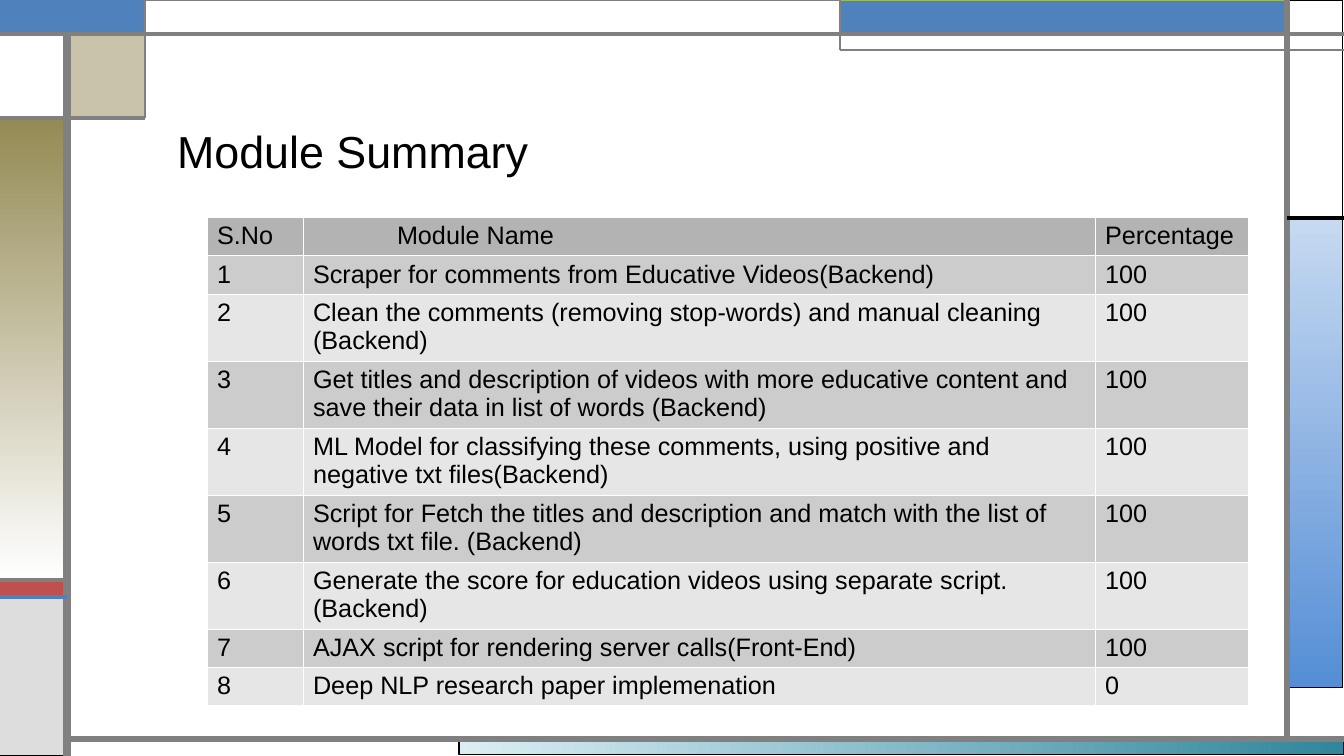
"""Build the Module Summary slide: a framed page with a title and a progress table."""
from lxml import etree
from pptx import Presentation
from pptx.dml.color import RGBColor
from pptx.enum.shapes import MSO_CONNECTOR, MSO_SHAPE
from pptx.enum.text import MSO_ANCHOR, MSO_AUTO_SIZE, PP_ALIGN
from pptx.oxml.ns import qn
from pptx.util import Pt

RECTANGLE = MSO_SHAPE.RECTANGLE
STRAIGHT = MSO_CONNECTOR.STRAIGHT
BOTTOM, TOP = MSO_ANCHOR.BOTTOM, MSO_ANCHOR.TOP
LEFT = PP_ALIGN.LEFT
NO_FIT = MSO_AUTO_SIZE.NONE

PX = 914400 / 100.8
WIDTH, HEIGHT = 1344, 756
FONT = "Arial"
COLORS = {
    "white": "FFFFFF", "black": "000000", "gray": "808080", "silver": "DDDDDD",
    "blue": "4F81BD", "green": "9BBB59", "red": "C0504D", "olive": "948A54",
    "ice": "DBEEF4", "teal": "31859C", "sky": "C6D9F1", "azure": "558ED5",
    "header": "B3B3B3", "odd": "CCCCCC", "even": "E6E6E6",
}

TITLE = "Module Summary"
HEADER = ("S.No", "Module Name", "Percentage")
MODULES = [
    ("Scraper for comments from Educative Videos(Backend)", 100),
    ("Clean the comments (removing stop-words) and manual cleaning (Backend)", 100),
    ("Get titles and description of videos with more educative content and "
     "save their data in list of words (Backend)", 100),
    ("ML Model for classifying these comments, using positive and "
     "negative txt files(Backend)", 100),
    ("Script for Fetch the titles and description and match with the list of "
     "words txt file. (Backend)", 100),
    ("Generate the score for education videos using separate script. (Backend)", 100),
    ("AJAX script for rendering server calls(Front-End)", 100),
    ("Deep NLP research paper implemenation", 0),
]
COLUMNS = (96, 792, 153)
ONE_LINE, TWO_LINES, LINE_CHARACTERS = 38, 67, 60
TABLE_LEFT, TABLE_TOP = 207, 217
HEADER_INDENT = 84

RAIL, TAB, MIDDLE, EDGE = 67, 145, 840, 1287
BAND, STEP, SQUARE, PANEL = 34, 50, 118, 218
STRIPE, BLOCK, FLOOR = 580, 597, 739

# left, top, right, bottom, fill colours, line colour, line width
PANELS = [
    (459, FLOOR, WIDTH, HEIGHT - 1, ("ice", "teal"), "black", 0.75),
    (EDGE, PANEL, WIDTH - 1, 688, ("sky", "azure"), "black", 0.75),
    (0, STRIPE, RAIL, BLOCK - 1, ("red",), "black", 0.75),
    (0, BLOCK, RAIL, HEIGHT, ("silver",), "black", 0.75),
    (EDGE, 0, WIDTH - 1, PANEL, ("white",), "black", 0.75),
    (MIDDLE, 0, EDGE, BAND, ("blue",), "green", 0.75),
    (RAIL, BAND, TAB, SQUARE, ("olive",), "black", 0.75),
    (0, SQUARE, RAIL, STRIPE, ("olive", "white"), "black", 0.75),
    (0, BAND, RAIL, SQUARE, ("white",), "black", 0.75),
    (0, 0, TAB, BAND, ("blue",), "blue", 1.5),
    (TAB, 0, MIDDLE, BAND, ("white",), "gray", 0.75),
]
RULES = [
    (RAIL, HEIGHT, RAIL, BAND, "gray", 6),
    (RAIL, FLOOR, WIDTH, FLOOR, "gray", 4.5),
    (EDGE, FLOOR, EDGE, 0, "gray", 4.5),
    (0, BAND, WIDTH, BAND, "gray", 3),
    (WIDTH, STEP, MIDDLE, STEP, "gray", 1.5),
    (MIDDLE, STEP, MIDDLE, 0, "gray", 1.5),
    (EDGE, PANEL, WIDTH, PANEL, "black", 2.25),
    (TAB, 0, TAB, SQUARE, "gray", 1.5),
    (TAB, SQUARE, 0, SQUARE, "gray", 2.25),
    (RAIL, STRIPE, 0, STRIPE, "gray", 2.25),
    (RAIL, BLOCK, 0, BLOCK, "blue", 2.25),
]


def emu(pixels):
    return round(pixels * PX)


def rgb(name):
    return RGBColor.from_string(COLORS[name])


def style_line(line, color, width):
    line.color.rgb = rgb(color)
    line.width = Pt(width)


def add_panel(page, left, top, right, bottom, fills, color, width):
    panel = page.shapes.add_shape(
        RECTANGLE, emu(left), emu(top), emu(right - left), emu(bottom - top))
    panel.shadow.inherit = False
    style_line(panel.line, color, width)
    if len(fills) == 1:
        panel.fill.solid()
        panel.fill.fore_color.rgb = rgb(fills[0])
    else:
        panel.fill.gradient()
        panel.fill.gradient_angle = 0 if right - left > bottom - top else 270
        for stop, name in zip(panel.fill.gradient_stops, fills):
            stop.color.rgb = rgb(name)
    if fills == ("olive",):
        tint = panel._element.spPr.find(qn("a:solidFill"))[0]
        etree.SubElement(tint, qn("a:alpha"), val="50000")


def add_rule(page, left, top, right, bottom, color, width):
    rule = page.shapes.add_connector(
        STRAIGHT, emu(left), emu(top), emu(right), emu(bottom))
    style_line(rule.line, color, width)
    etree.SubElement(rule._element.spPr, qn("a:effectLst"))


def write(frame, text, size):
    frame.word_wrap = True
    para = frame.paragraphs[0]
    para.alignment = LEFT
    span = para.add_run()
    span.text = text
    span.font.name = FONT
    span.font.size = Pt(size)
    span.font.bold = False
    span.font.color.rgb = rgb("black")


def add_title(page):
    title = page.shapes.title
    title.left, title.top, title.width, title.height = map(emu, (167, 58, 1057, 125))
    frame = title.text_frame
    frame.auto_size = NO_FIT
    frame.vertical_anchor = BOTTOM
    write(frame, TITLE, 32)


def border_cell(cell):
    properties = cell._tc.get_or_add_tcPr()
    for position, side in enumerate(("a:lnL", "a:lnR", "a:lnT", "a:lnB")):
        border = etree.Element(qn(side), w="762")
        fill = etree.SubElement(border, qn("a:solidFill"))
        etree.SubElement(fill, qn("a:srgbClr"), val=COLORS["white"])
        properties.insert(position, border)


def add_module_table(page):
    rows = [HEADER] + [(str(number), name, str(percentage))
                       for number, (name, percentage) in enumerate(MODULES, 1)]
    heights = [TWO_LINES if len(row[1]) > LINE_CHARACTERS else ONE_LINE for row in rows]
    table = page.shapes.add_table(
        len(rows), len(COLUMNS), emu(TABLE_LEFT), emu(TABLE_TOP),
        emu(sum(COLUMNS)), emu(sum(heights))).table
    for column, width in zip(table.columns, COLUMNS):
        column.width = emu(width)
    for index, (row, height) in enumerate(zip(rows, heights)):
        table.rows[index].height = emu(height)
        shade = "header" if index == 0 else ("even", "odd")[index % 2]
        for position, text in enumerate(row):
            cell = table.cell(index, position)
            cell.fill.solid()
            cell.fill.fore_color.rgb = rgb(shade)
            cell.vertical_anchor = TOP
            border_cell(cell)
            write(cell.text_frame, text, 18)
    heading = table.cell(0, 1)
    heading.margin_left = heading.margin_left + emu(HEADER_INDENT)


def main():
    deck = Presentation()
    deck.slide_width, deck.slide_height = emu(WIDTH), emu(HEIGHT)
    page = deck.slides.add_slide(deck.slide_layouts[5])
    for panel in PANELS:
        add_panel(page, *panel)
    for rule in RULES:
        add_rule(page, *rule)
    add_title(page)
    add_module_table(page)
    deck.save("out.pptx")


if __name__ == "__main__":
    main()
